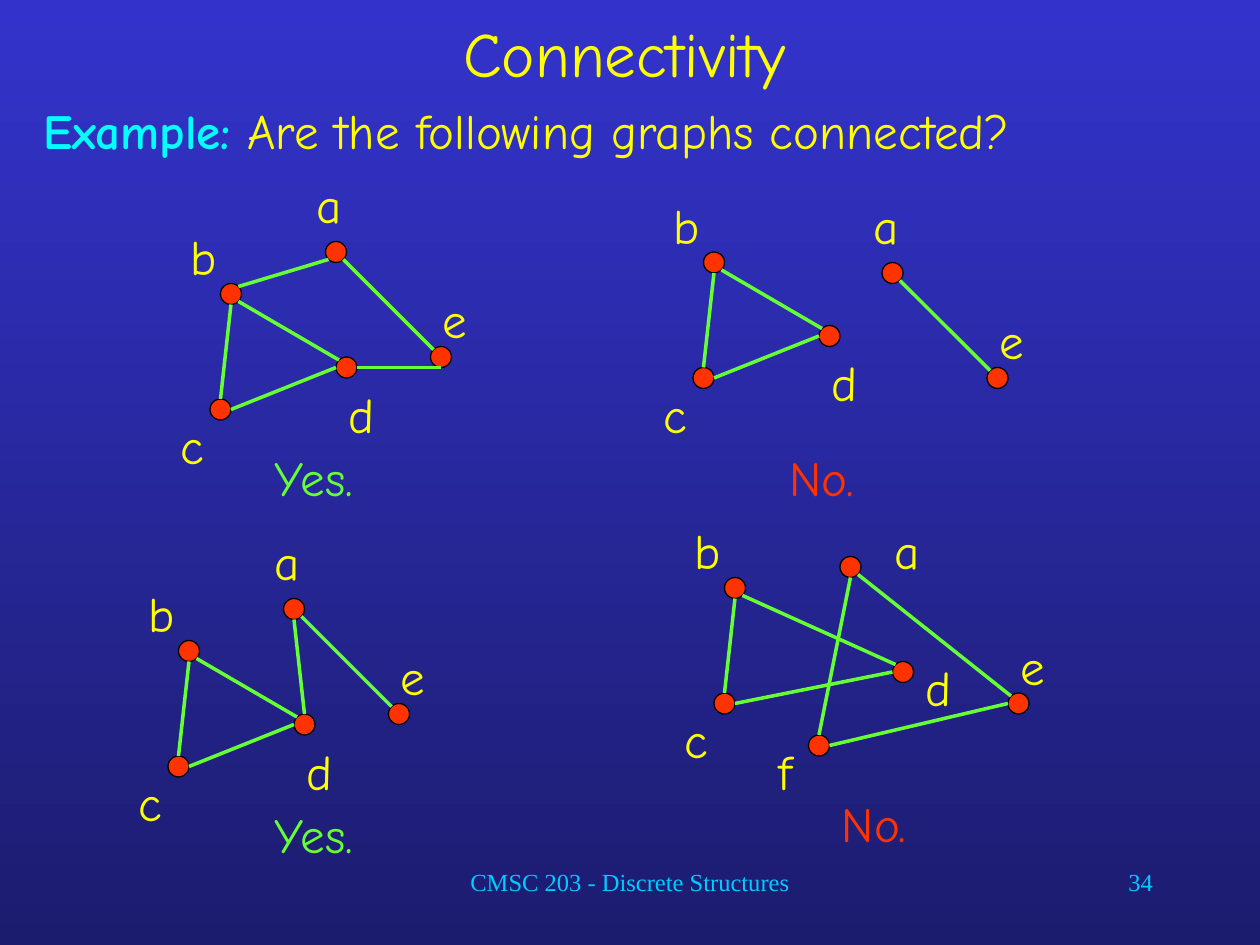
from dataclasses import dataclass
from lxml.etree import SubElement
from pptx import Presentation
from pptx.dml.color import RGBColor
from pptx.enum.shapes import MSO_CONNECTOR, MSO_SHAPE
from pptx.enum.text import MSO_ANCHOR, MSO_AUTO_SIZE, PP_ALIGN
from pptx.oxml.ns import qn
from pptx.util import Inches, Pt


@dataclass(frozen=True)
class Theme:
    top: str = "3333CC"
    bottom: str = "1C1C6F"
    text: str = "FFFF00"
    accent: str = "00FFFF"
    footer: str = "00CCFF"
    edge: str = "66FF33"
    node: str = "FF3300"
    outline: str = "000000"
    font: str = "Comic Neue"
    footer_font: str = "Times New Roman"
    title_size: float = 36
    body_size: float = 28
    footer_size: float = 14
    edge_width: float = 2
    outline_width: float = 0.75


T = Theme()
GRID = 1 / 12
DOT = 2
LABEL_HEIGHT = 0.57
LABEL_WIDTHS = {"a": 8, "b": 4, "c": 5, "d": 8, "e": 8, "f": 5}
SIDES = {"N": (0, -1), "S": (0, 1), "W": (-1, 0), "E": (1, 0),
         "NW": (-0.71, -0.71), "NE": (0.71, -0.71),
         "SW": (-0.71, 0.71), "SE": (0.71, 0.71)}

TRIANGLE = [("d", "W", "c", "E"), ("c", "N", "b", "S"), ("b", "SE", "d", "NW")]
TAIL = [("a", "SE", "e", "NW")]

GRAPHS = [
    {"nodes": {"d": ((32, 34), (32, 36)), "c": ((20, 38), (16, 39)),
               "b": ((21, 27), (17, 21)), "e": ((41, 33), (41, 27)),
               "a": ((31, 23), (29, 16))},
     "edges": TRIANGLE + TAIL + [("d", "E", "e", "S"), ("b", "NE", "a", "SW")],
     "answer": ("Yes.", T.edge, (25, 42))},
    {"nodes": {"d": ((78, 31), (78, 33)), "c": ((66, 35), (62, 36)),
               "b": ((67, 24), (63, 18)), "e": ((94, 35), (94, 29)),
               "a": ((84, 25), (82, 18))},
     "edges": TRIANGLE + TAIL,
     "answer": ("No.", T.node, (74, 42))},
    {"nodes": {"d": ((28, 68), (28, 70)), "c": ((16, 72), (12, 73)),
               "b": ((17, 61), (13, 55)), "e": ((37, 67), (37, 61)),
               "a": ((27, 57), (25, 50))},
     "edges": TRIANGLE + TAIL + [("d", "N", "a", "S")],
     "answer": ("Yes.", T.edge, (25, 76))},
    {"nodes": {"d": ((85, 63), (87, 62)), "c": ((68, 66), (64, 67)),
               "b": ((69, 55), (65, 49)), "e": ((96, 66), (96, 60)),
               "a": ((80, 53), (84, 49)), "f": ((77, 70), (73, 70))},
     "edges": TRIANGLE + TAIL + [("f", "N", "a", "S"), ("f", "E", "e", "W")],
     "answer": ("No.", T.node, (79, 75))},
]


def grid(*units):
    return [Inches(u * GRID) for u in units]


def add_text(shapes, runs, box, size=T.body_size, font=T.font, color=T.text,
             align=PP_ALIGN.LEFT, anchor=MSO_ANCHOR.TOP, before=0, after=0,
             grow=False):
    sp = shapes.add_textbox(*box)
    tf = sp.text_frame
    tf.word_wrap = True
    tf.vertical_anchor = anchor
    tf.auto_size = MSO_AUTO_SIZE.SHAPE_TO_FIT_TEXT if grow else MSO_AUTO_SIZE.NONE
    p = tf.paragraphs[0]
    p.alignment = align
    p.space_before, p.space_after = Pt(before), Pt(after)
    if isinstance(runs, str):
        runs = [(runs, color, False)]
    for text, run_color, bold in runs:
        r = p.add_run()
        r.text = text
        r.font.name, r.font.size, r.font.bold = font, Pt(size), bold
        r.font.color.rgb = RGBColor.from_string(run_color)


def add_node(shapes, name, dot, label):
    sp = shapes.add_shape(MSO_SHAPE.FLOWCHART_CONNECTOR, *grid(*dot, DOT, DOT))
    sp.shadow.inherit = False
    sp.fill.solid()
    sp.fill.fore_color.rgb = RGBColor.from_string(T.node)
    sp.line.color.rgb = RGBColor.from_string(T.outline)
    sp.line.width = Pt(T.outline_width)
    box = grid(*label, LABEL_WIDTHS[name]) + [Inches(LABEL_HEIGHT)]
    add_text(shapes, name, box, before=17.5, grow=True)


def edge_point(dot, side):
    radius = DOT / 2
    return grid(*(d + radius * (1 + v) for d, v in zip(dot, SIDES[side])))


def add_edge(shapes, start, end):
    cx = shapes.add_connector(MSO_CONNECTOR.STRAIGHT, *start, *end)
    cx.line.color.rgb = RGBColor.from_string(T.edge)
    cx.line.width = Pt(T.edge_width)
    SubElement(cx._element.spPr, qn("a:effectLst"))


def add_graph(s, nodes, edges, answer):
    shapes = s.shapes.add_group_shape().shapes
    for name, (dot, label) in nodes.items():
        add_node(shapes, name, dot, label)
    for a, a_side, b, b_side in edges:
        add_edge(shapes, edge_point(nodes[a][0], a_side),
                 edge_point(nodes[b][0], b_side))
    text, color, corner = answer
    add_text(s.shapes, text, grid(*corner, 12, 7), color=color, before=7, after=7)


def main():
    prs = Presentation()
    prs.slide_width, prs.slide_height = Inches(10), Inches(7.5)
    s = prs.slides.add_slide(prs.slide_layouts[6])
    fill = s.background.fill
    fill.gradient()
    fill.gradient_angle = 270
    for stop, color in zip(fill.gradient_stops, (T.top, T.bottom)):
        stop.color.rgb = RGBColor.from_string(color)

    footer = {"size": T.footer_size, "font": T.footer_font, "color": T.footer}
    add_text(s.shapes, "CMSC 203 - Discrete Structures", grid(34, 82, 52, 6),
             align=PP_ALIGN.CENTER, **footer)
    add_text(s.shapes, "34", grid(86, 82, 25, 6), align=PP_ALIGN.RIGHT, **footer)
    add_text(s.shapes, "Connectivity", grid(3, 0, 113, 10), size=T.title_size,
             align=PP_ALIGN.CENTER, anchor=MSO_ANCHOR.MIDDLE)
    add_text(s.shapes, [("Example:", T.accent, True),
                        (" Are the following graphs connected?", T.text, False)],
             grid(3, 9, 115, 7), before=7, after=7)
    for graph in GRAPHS:
        add_graph(s, **graph)
    prs.save("out.pptx")


if __name__ == "__main__":
    main()
